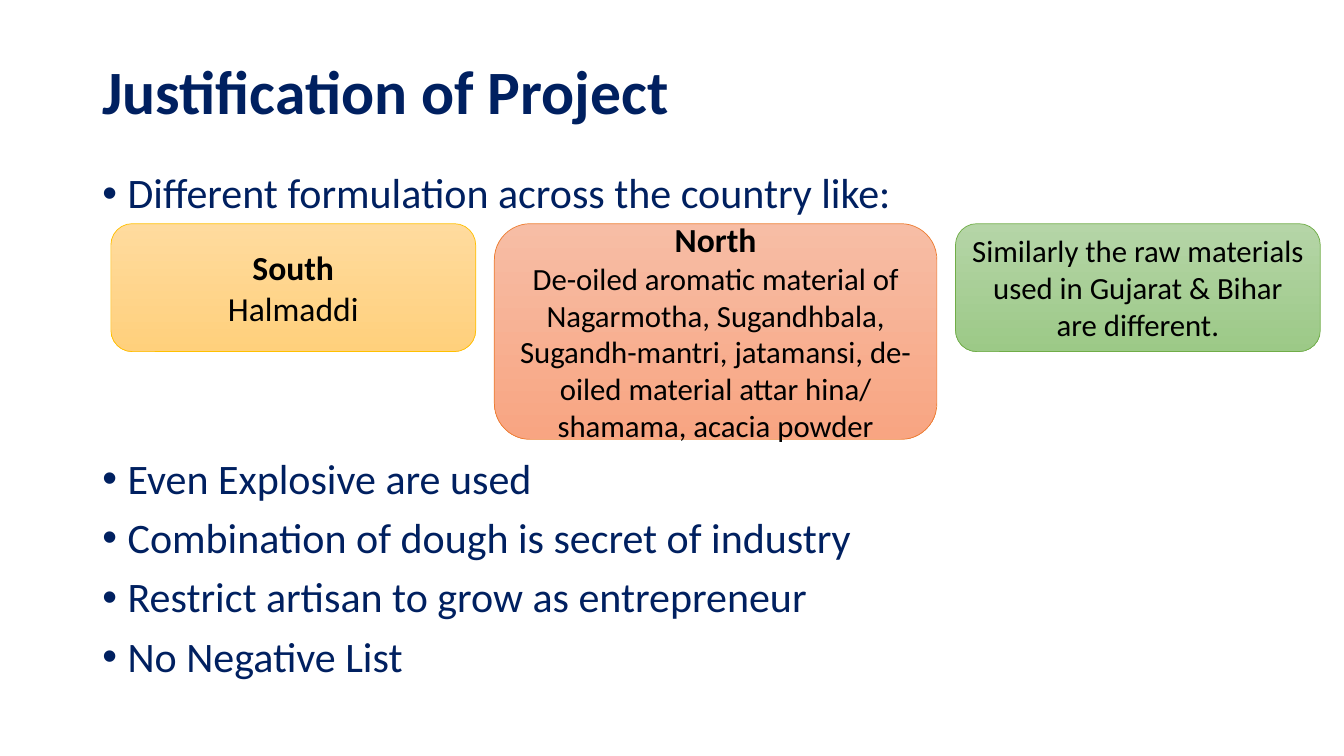
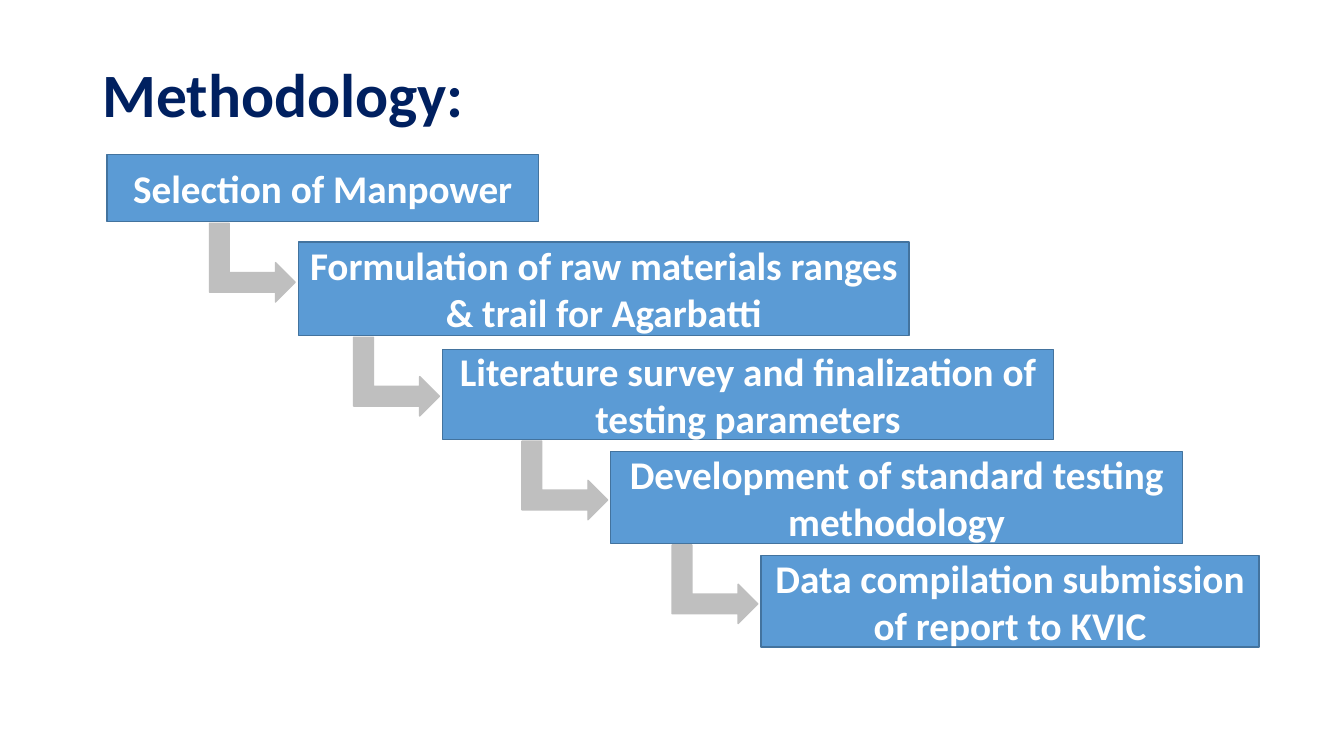
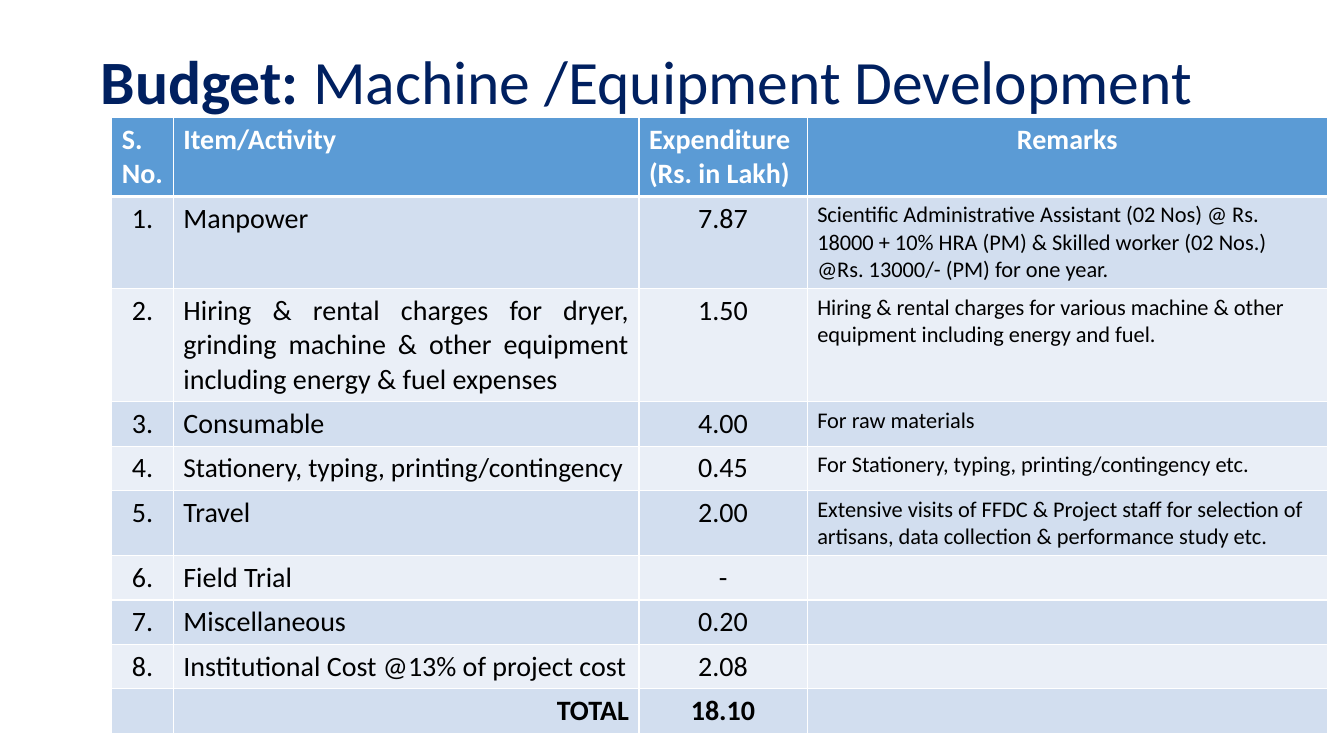
from typing import NamedTuple

from lxml import etree
from pptx import Presentation
from pptx import util as u
from pptx.dml.color import RGBColor
from pptx.enum import shapes, text
from pptx.oxml import ns

# Shared look
FACE = "Calibri"
NAVY = RGBColor(0x00, 0x20, 0x60)
BLUE = RGBColor(0x5B, 0x9B, 0xD5)
EDGE = RGBColor(0x43, 0x73, 0x9E)
GREY = RGBColor(0xBF, 0xBF, 0xBF)
WHITE = RGBColor(0xFF, 0xFF, 0xFF)
BLACK = RGBColor(0x00, 0x00, 0x00)
BANDS = (RGBColor(0xEA, 0xEF, 0xF7), RGBColor(0xD2, 0xDE, 0xEF))
KIND = shapes.MSO_SHAPE
LEFT, MID, RIGHT, FULL = (
    text.PP_ALIGN.LEFT, text.PP_ALIGN.CENTER, text.PP_ALIGN.RIGHT, text.PP_ALIGN.JUSTIFY)


class Box(NamedTuple):
    """A frame in points."""
    left: float
    top: float
    width: float
    height: float


class Run(NamedTuple):
    words: str
    size: float
    bold: bool = False


class Card(NamedTuple):
    width: float
    height: float
    light: RGBColor
    deep: RGBColor
    edge: RGBColor
    lines: tuple


class Step(NamedTuple):
    words: str
    box: Box


class Row(NamedTuple):
    num: str
    item: str
    cost: str
    note: str = ""
    size: float = 20
    align: text.PP_ALIGN = LEFT
    bold: bool = False


# Slide 1 content
CARDS = (
    Card(260.6, 91.4, RGBColor(0xFF, 0xDB, 0x9E), RGBColor(0xFF, 0xD0, 0x7C),
         RGBColor(0xFF, 0xC0, 0x00),
         (Run("South", 24, True), Run("Halmaddi", 24))),
    Card(316.1, 154.1, RGBColor(0xF7, 0xBD, 0xA5), RGBColor(0xF8, 0xA5, 0x82),
         RGBColor(0xED, 0x7D, 0x31),
         (Run("North", 24, True),
          Run("De-oiled aromatic material of Nagarmotha, Sugandhbala, "
              "Sugandh-mantri, jatamansi, de-oiled material attar hina/ "
              "shamama, acacia powder", 22))),
    Card(260.6, 91.4, RGBColor(0xB5, 0xD5, 0xA7), RGBColor(0x9C, 0xC9, 0x87),
         RGBColor(0x70, 0xAD, 0x47),
         (Run("Similarly the raw materials used in Gujarat & Bihar "
              "are different.", 22),)),
)
# Each bullet with the space before it; the second leaves room for the cards
POINTS = (
    ("Different formulation across the country like:", 10),
    ("Even Explosive are used", 171.5),
    ("Combination of dough is secret of industry", 10),
    ("Restrict artisan to grow as entrepreneur", 10),
    ("No Negative List", 10),
)

# Slide 2 content
STEPS = (
    Step("Selection of Manpower", Box(76.3, 110.2, 308.2, 48.2)),
    Step("Formulation of raw materials ranges & trail for Agarbatti",
         Box(213.1, 172.8, 436.3, 67)),
    Step("Literature survey and finalization of testing parameters",
         Box(316.1, 249.8, 436.3, 64.1)),
    Step("Development of standard testing methodology",
         Box(436.3, 322.6, 408.2, 65.5)),
    Step("Data compilation submission of report to KVIC",
         Box(543.6, 396.7, 355.7, 65.5)),
)

# Slide 3 content
HEADS = ("S. No.", "Item/Activity", "Expenditure (Rs. in Lakh)", "Remarks")
COLS = (43.9, 332.6, 120.2, 371.5)
ROWS = (
    Row("1.", "Manpower", "7.87",
        "Scientific Administrative Assistant (02 Nos) @ Rs. 18000 + 10% HRA (PM) "
        "& Skilled worker (02 Nos.) @Rs. 13000/- (PM) for one year."),
    Row("2.", "Hiring & rental charges for dryer, grinding machine & other "
        "equipment including energy & fuel expenses", "1.50",
        "Hiring & rental charges for various machine & other equipment "
        "including energy and fuel.", align=FULL),
    Row("3.", "Consumable", "4.00", "For raw materials"),
    Row("4.", "Stationery, typing, printing/contingency", "0.45",
        "For Stationery, typing, printing/contingency etc.", size=19.5),
    Row("5.", "Travel", "2.00",
        "Extensive visits of FFDC & Project staff for selection of artisans, "
        "data collection & performance study etc."),
    Row("6.", "Field Trial", "-"),
    Row("7.", "Miscellaneous", "0.20"),
    Row("8.", "Institutional Cost @13% of project cost", "2.08"),
    Row("", "TOTAL", "18.10", align=RIGHT, bold=True),
)


# Helpers
def apply(item, form: dict) -> None:
    for key, val in form.items():
        setattr(item, key, val)


def place(shape, box: Box) -> None:
    apply(shape, {key: u.Pt(val) for key, val in box._asdict().items()})


def write(para, run: Run, color: RGBColor) -> None:
    part = para.add_run()
    part.text = run.words
    apply(part.font, {"name": FACE, "size": u.Pt(run.size), "bold": run.bold})
    part.font.color.rgb = color


def fill(frame, lines: tuple, color: RGBColor) -> None:
    """Write one centred paragraph per run."""
    for i, run in enumerate(lines):
        para = frame.add_paragraph() if i else frame.paragraphs[0]
        para.alignment = MID
        write(para, run, color)


def draw(slide, kind, box: Box, edge: RGBColor, line: float):
    shape = slide.shapes.add_shape(kind, *(u.Pt(val) for val in box))
    shape.shadow.inherit = False
    shape.line.color.rgb = edge
    shape.line.width = u.Pt(line)
    return shape


def block(slide, kind, box: Box, color: RGBColor, edge: RGBColor):
    shape = draw(slide, kind, box, edge, 1)
    shape.fill.solid()
    shape.fill.fore_color.rgb = color
    return shape


def start(deck, layout: int, box: Box, *runs: Run):
    """Add a slide with its title."""
    slide = deck.slides.add_slide(deck.slide_layouts[layout])
    title = slide.shapes.title
    place(title, box)
    apply(title.text_frame, {"auto_size": text.MSO_AUTO_SIZE.NONE,
                             "vertical_anchor": text.MSO_ANCHOR.MIDDLE})
    para = title.text_frame.paragraphs[0]
    apply(para, {"alignment": LEFT, "line_spacing": 0.9})
    for run in runs:
        write(para, run, NAVY)
    return slide


def rule(cell, tag: str, width: float) -> None:
    """Draw one white cell border."""
    line = etree.SubElement(cell._tc.get_or_add_tcPr(), ns.qn("a:" + tag),
                            w=str(u.Pt(width)))
    solid = etree.SubElement(line, ns.qn("a:solidFill"))
    etree.SubElement(solid, ns.qn("a:srgbClr"), val=str(WHITE))


def put(cell, run: Run, align, color: RGBColor, back: RGBColor,
        above: float, below: float) -> None:
    for tag, width in (("lnL", 1), ("lnR", 1), ("lnT", above), ("lnB", below)):
        rule(cell, tag, width)
    cell.fill.solid()
    cell.fill.fore_color.rgb = back
    para = cell.text_frame.paragraphs[0]
    para.alignment = align
    if run.words:
        write(para, run, color)


# Slides
def reason(deck) -> None:
    slide = start(deck, 1, Box(66, 15, 828, 104.4),
                  Run("Justification of Project", 44, True))
    body = slide.placeholders[1]
    place(body, Box(66, 119.5, 828, 420.5))
    frame = body.text_frame
    frame.auto_size = text.MSO_AUTO_SIZE.NONE
    for i, (words, gap) in enumerate(POINTS):
        para = frame.add_paragraph() if i else frame.paragraphs[0]
        apply(para, {"alignment": LEFT, "line_spacing": 0.9,
                     "space_before": u.Pt(gap)})
        props = para._p.get_or_add_pPr()
        props.set("marL", str(u.Pt(18)))
        props.set("indent", str(u.Pt(-18)))
        write(para, Run(words, 30), NAVY)

    # Regional cards in a row
    left, gap = 79.2, 13.3
    for card in CARDS:
        shape = draw(slide, KIND.FLOWCHART_ALTERNATE_PROCESS,
                     Box(left, 159.8, card.width, card.height), card.edge, 0.5)
        shape.fill.gradient()
        shape.fill.gradient_angle = 270
        for stop, color in zip(shape.fill.gradient_stops, (card.light, card.deep)):
            stop.color.rgb = color
        fill(shape.text_frame, card.lines, BLACK)
        left += card.width + gap


def method(deck) -> None:
    slide = start(deck, 5, Box(66, 28.8, 828, 81.4),
                  Run("Methodology:", 44, True))
    for step in STEPS:
        shape = block(slide, KIND.RECTANGLE, step.box, BLUE, EDGE)
        fill(shape.text_frame, (Run(step.words, 28, True),), WHITE)
    # Arrows drop from each step to the next
    for prev, step in zip(STEPS, STEPS[1:]):
        base = prev.box.top + prev.box.height
        arrow = block(slide, KIND.BENT_UP_ARROW,
                      Box(step.box.left - 61, base - 1.4, 56.2, 61.2), GREY, GREY)
        arrow.rotation = 90


def budget(deck) -> None:
    slide = start(deck, 5, Box(64.8, 7.9, 828, 104.4), Run("Budget: ", 44, True),
                  Run("Machine /Equipment Development", 44))
    high = 29.5
    count = len(ROWS) + 1
    table = slide.shapes.add_table(
        count, len(COLS), u.Pt(79.9), u.Pt(84.2), u.Pt(sum(COLS)),
        u.Pt(high * count)).table
    for col, width in zip(table.columns, COLS):
        col.width = u.Pt(width)
    for row in table.rows:
        row.height = u.Pt(high)

    for i, head in enumerate(HEADS):
        align = MID if head == "Remarks" else LEFT
        put(table.cell(0, i), Run(head, 20, True), align, WHITE, BLUE, 1, 3)
    for r, row in enumerate(ROWS, 1):
        cells = (
            (Run(row.num, 20), MID),
            (Run(row.item, row.size, row.bold), row.align),
            (Run(row.cost, 20, row.bold), MID),
            (Run(row.note, 16), LEFT),
        )
        for i, (run, align) in enumerate(cells):
            put(table.cell(r, i), run, align, BLACK, BANDS[r % 2],
                3 if r == 1 else 1, 1)


def main() -> None:
    deck = Presentation()
    deck.slide_width, deck.slide_height = u.Pt(960), u.Pt(540)
    for build in (reason, method, budget):
        build(deck)
    deck.save("out.pptx")


if __name__ == "__main__":
    main()
